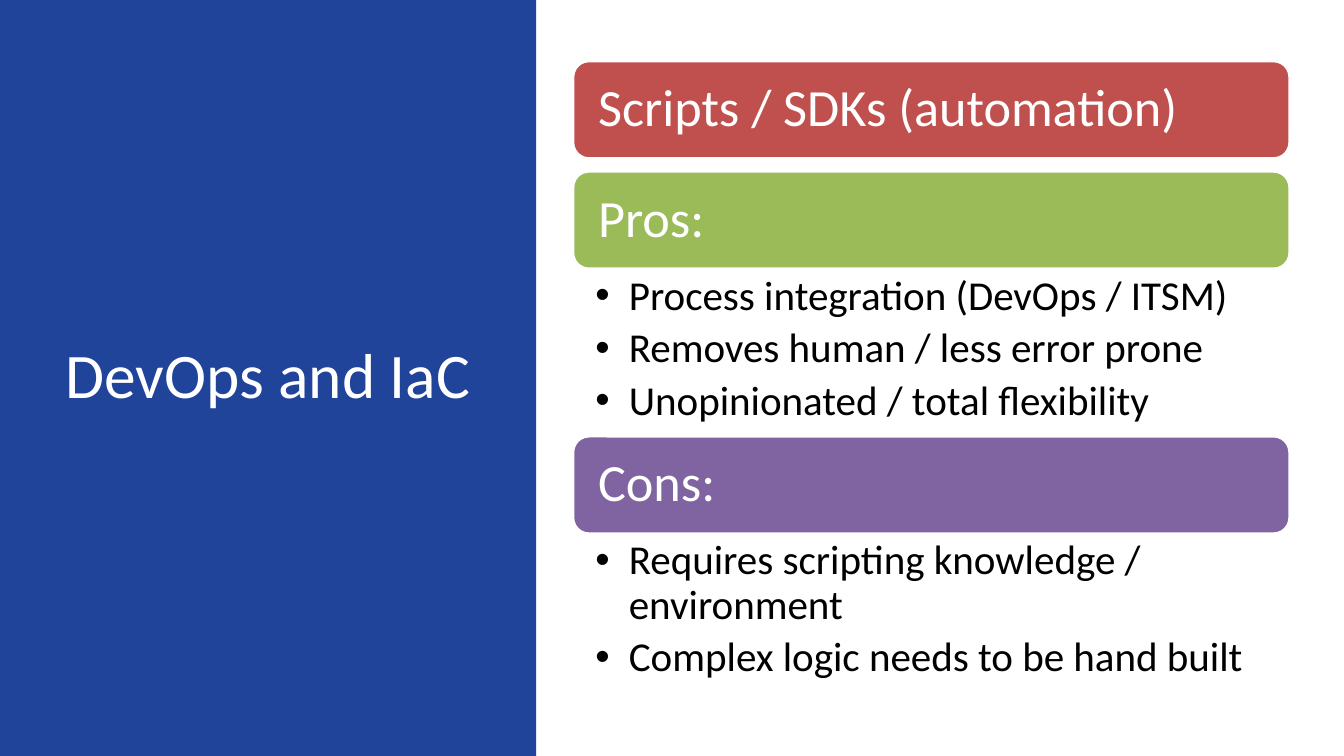
import pptx
import pptx.util
import pptx.dml.color
import pptx.enum.shapes
import pptx.enum.text

Pt = pptx.util.Pt
RGB = pptx.dml.color.RGBColor
Align = pptx.enum.text.PP_ALIGN
Anchor = pptx.enum.text.MSO_ANCHOR

BLUE = RGB(0x20, 0x44, 0x9A)
RED = RGB(0xC0, 0x50, 0x4D)
GREEN = RGB(0x9B, 0xBB, 0x59)
PURPLE = RGB(0x80, 0x64, 0xA2)
WHITE = RGB(0xFF, 0xFF, 0xFF)
BLACK = RGB(0, 0, 0)


def write(shape, *lines, size, color=WHITE, align=Align.LEFT,
          anchor=Anchor.MIDDLE, inset=(7.2, 3.6, 7.2, 3.6), after=0, hang=0):
    frame = shape.text_frame
    frame.word_wrap = True
    frame.auto_size = pptx.enum.text.MSO_AUTO_SIZE.NONE
    frame.vertical_anchor = anchor
    (frame.margin_left, frame.margin_top,
     frame.margin_right, frame.margin_bottom) = map(Pt, inset)
    frame.text = "\n".join(lines)
    for para in frame.paragraphs:
        if hang:
            props = para._p.get_or_add_pPr()
            props.set("marL", str(Pt(hang)))
            props.set("indent", str(-Pt(hang)))
        para.alignment = align
        para.line_spacing = 0.9
        para.space_before = Pt(0)
        para.space_after = Pt(after)
        para.font.name = "Calibri"
        para.font.size = Pt(size)
        para.font.color.rgb = color


def place(shape, left, top, width, height):
    shape.left, shape.top = Pt(left), Pt(top)
    shape.width, shape.height = Pt(width), Pt(height)


deck = pptx.Presentation()
deck.slide_width, deck.slide_height = Pt(720), Pt(405)
slide = deck.slides.add_slide(deck.slide_layouts[3])

title = slide.shapes.title
place(title, 0, 0, 287.2, 405)
title.fill.solid()
title.fill.fore_color.rgb = BLUE
write(title, "DevOps and IaC", size=34, align=Align.CENTER)

LEFT, WIDTH, BAR, GAP = 306.7, 384.5, 52.8, 6.3
groups = [
    ("Scripts / SDKs (automation)", RED, None, GAP, []),
    ("Pros:", GREEN, 1, 89.1, [
        "Process integration (DevOps / ITSM)",
        "Removes human / less error prone",
        "Unopinionated / total flexibility"]),
    ("Cons:", PURPLE, 2, 84.2, [
        "Requires scripting knowledge / environment",
        "Complex logic needs to be hand built"]),
]

top = 32.4
for head, color, slot, space, points in groups:
    bar = slide.shapes.add_shape(
        pptx.enum.shapes.MSO_SHAPE.ROUNDED_RECTANGLE,
        Pt(LEFT), Pt(top), Pt(WIDTH), Pt(BAR))
    bar.shadow.inherit = False
    bar.fill.solid()
    bar.fill.fore_color.rgb = color
    bar.line.color.rgb = WHITE
    bar.line.width = Pt(2)
    write(bar, head, size=28, inset=(11.2, 8.4, 11.2, 8.4))
    top += BAR
    if points:
        body = slide.placeholders[slot]
        place(body, LEFT, top, WIDTH, space)
        write(body, *points, size=22, color=BLACK, anchor=Anchor.TOP,
              inset=(12.2, 2.8, 15.6, 2.8), after=4.4, hang=18)
    top += space

deck.save("out.pptx")
